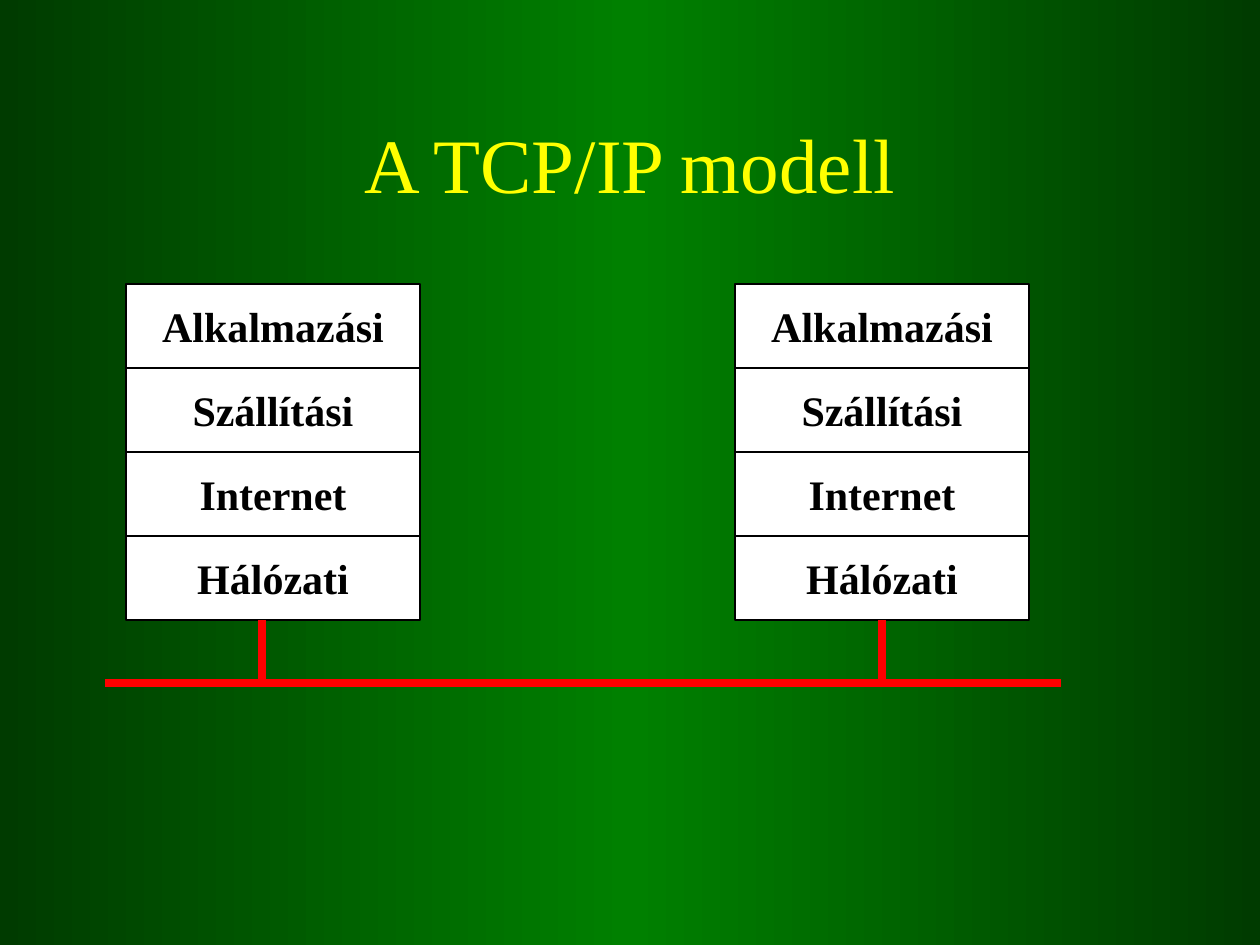
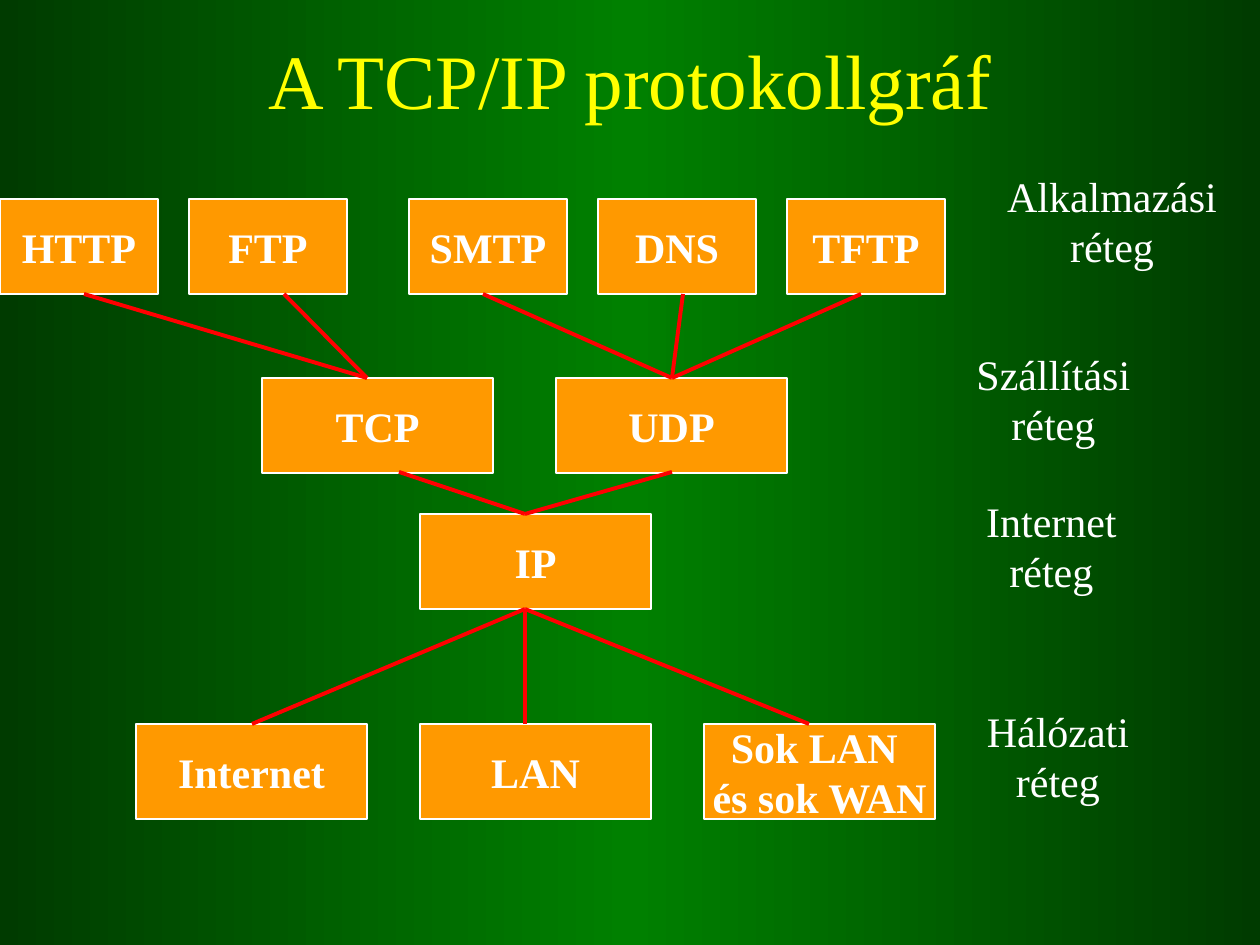
from copy import deepcopy

from lxml import etree
from pptx import Presentation
from pptx.dml.color import RGBColor
from pptx.enum.shapes import MSO_CONNECTOR, MSO_SHAPE
from pptx.enum.text import MSO_ANCHOR, MSO_AUTO_SIZE, PP_ALIGN
from pptx.oxml.ns import qn
from pptx.util import Pt

RECT = MSO_SHAPE.RECTANGLE
STRAIGHT = MSO_CONNECTOR.STRAIGHT
MIDDLE, TOP = MSO_ANCHOR.MIDDLE, MSO_ANCHOR.TOP
CENTER = PP_ALIGN.CENTER
NO_FIT = MSO_AUTO_SIZE.NONE

FONT = "Times New Roman"
DARK, GREEN, YELLOW = "003B00", "008000", "FFFF00"
WHITE, BLACK, ORANGE, RED = "FFFFFF", "000000", "FF9900", "FF0000"
LAYERS = ["Alkalmazási", "Szállítási", "Internet", "Hálózati"]
BOX_H = 95


def px(n):
    """Turn pixels into EMU."""
    return round(n * 914400 / 126)


def color(hex_text):
    """Turn a hex string into a colour."""
    return RGBColor.from_string(hex_text)


def write(tf, lines, size, hex_text, bold=False, anchor=MIDDLE):
    """Write centred lines, one paragraph each."""
    tf.vertical_anchor = anchor
    for i, line in enumerate(lines):
        p = tf.add_paragraph() if i else tf.paragraphs[0]
        p.alignment = CENTER
        r = p.add_run()
        r.text = line
        r.font.name, r.font.size, r.font.bold = FONT, Pt(size), bold
        r.font.color.rgb = color(hex_text)


def paint_background(master):
    """Give the master a green gradient that is dark at both sides."""
    fill = master.background.fill
    fill.gradient()
    fill.gradient_angle = 0
    last = list(master.element.iter(qn("a:gs")))[-1]
    last.addnext(deepcopy(last))
    for stop, place, tone in zip(fill.gradient_stops, (0, 0.5, 1), (DARK, GREEN, DARK)):
        stop.position = place
        stop.color.rgb = color(tone)


def add_titled_slide(prs, title, y):
    """Add a slide with its title at the given height."""
    s = prs.slides.add_slide(prs.slide_layouts[5])
    sp = s.shapes.title
    sp.left, sp.top, sp.width, sp.height = px(94), px(y), px(1072), px(158)
    write(sp.text_frame, [title], 44, YELLOW)
    return s


def add_box(shapes, x, y, w, h, lines, fill, ink, edge, edge_width):
    """Add a filled box with bold centred text."""
    sp = shapes.add_shape(RECT, px(x), px(y), px(w), px(h))
    sp.shadow.inherit = False
    sp.fill.solid()
    sp.fill.fore_color.rgb = color(fill)
    sp.line.color.rgb = color(edge)
    sp.line.width = Pt(edge_width)
    sp.text_frame.word_wrap = False
    write(sp.text_frame, lines, 24, ink, bold=True)


def add_line(s, x1, y1, x2, y2, width):
    """Add a straight red line."""
    line = s.shapes.add_connector(STRAIGHT, px(x1), px(y1), px(x2), px(y2))
    line.line.color.rgb = color(RED)
    line.line.width = Pt(width)
    etree.SubElement(line.element.spPr, qn("a:effectLst"))


def add_stack(s, x, y, w, row_h):
    """Add a grouped stack of the four layers."""
    group = s.shapes.add_group_shape()
    for i, layer in enumerate(LAYERS):
        add_box(group.shapes, x, y + i * row_h, w, row_h, [layer], WHITE, BLACK, BLACK, 1)


def add_network(s, x, y, w, drop, taps):
    """Add a bus line with taps that rise to the stacks."""
    for tap in taps:
        add_line(s, x + tap, y - drop, x + tap, y, 4.5)
    add_line(s, x, y, x + w, y, 4.5)


def add_protocols(s, x, y, w, step, names):
    """Add a row of evenly spaced protocol boxes."""
    for i, name in enumerate(names):
        add_box(s.shapes, x + i * step, y, w, BOX_H, name.split("\n"),
                ORANGE, WHITE, WHITE, 0.75)


def add_links(s, x, y, end_y, ends):
    """Fan lines out from one point to several ends at one height."""
    for end_x in ends:
        add_line(s, x, y, end_x, end_y, 2.25)


def add_layer_label(s, x, y, w, layer):
    """Add the two-line name of a layer."""
    tf = s.shapes.add_textbox(px(x), px(y), px(w), px(113)).text_frame
    tf.word_wrap = False
    tf.auto_size = NO_FIT
    write(tf, [layer, "réteg"], 24, WHITE, anchor=TOP)


def build_model(prs):
    """Build the slide with two hosts on one network."""
    s = add_titled_slide(prs, "A TCP/IP modell", 84)
    for x in (126, 735):
        add_stack(s, x, 284, 294, 84)
    add_network(s, 105, 683, 956, 63, (157, 777))


def build_graph(prs):
    """Build the slide with the protocol graph."""
    s = add_titled_slide(prs, "A TCP/IP protokollgráf", 0)
    add_protocols(s, 0, 199, 158, 189, ["HTTP", "FTP"])
    add_protocols(s, 409, 199, 158, 189, ["SMTP", "DNS", "TFTP"])
    add_protocols(s, 262, 378, 231, 294, ["TCP", "UDP"])
    add_protocols(s, 420, 514, 231, 0, ["IP"])
    add_protocols(s, 136, 724, 231, 284, ["Internet", "LAN", "Sok LAN \nés sok WAN"])
    add_links(s, 367, 378, 294, (84, 284))
    add_links(s, 672, 378, 294, (483, 683, 861))
    add_links(s, 525, 514, 472, (399, 672))
    add_links(s, 525, 609, 724, (252, 525, 809))
    spots = [(990, 164, 244), (959, 342, 189), (969, 489, 165), (969, 699, 178)]
    for spot, layer in zip(spots, LAYERS):
        add_layer_label(s, *spot, layer)


def main():
    """Build and save the presentation."""
    prs = Presentation()
    prs.slide_width, prs.slide_height = px(1260), px(945)
    paint_background(prs.slide_master)
    build_model(prs)
    build_graph(prs)
    prs.save("out.pptx")


if __name__ == "__main__":
    main()
